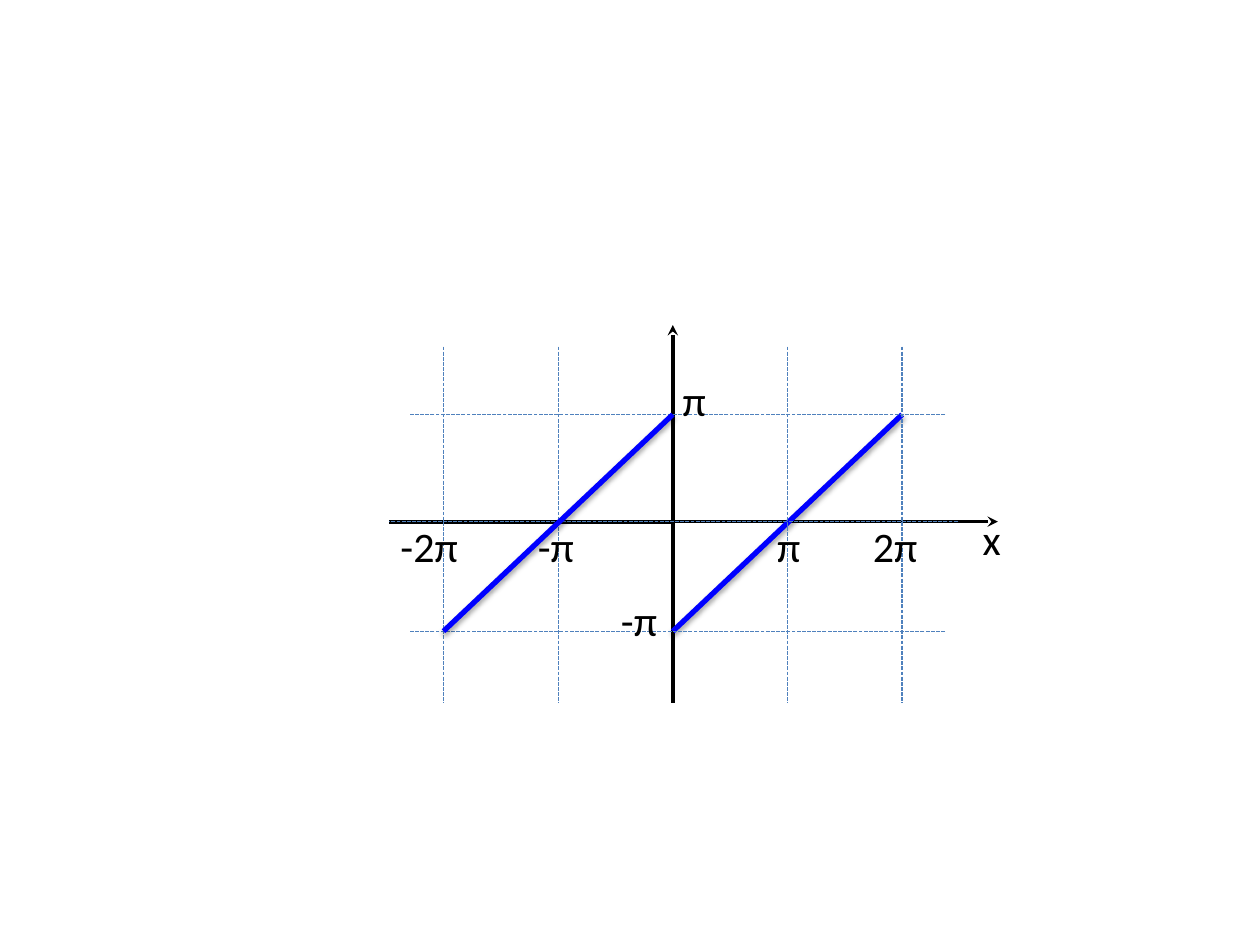
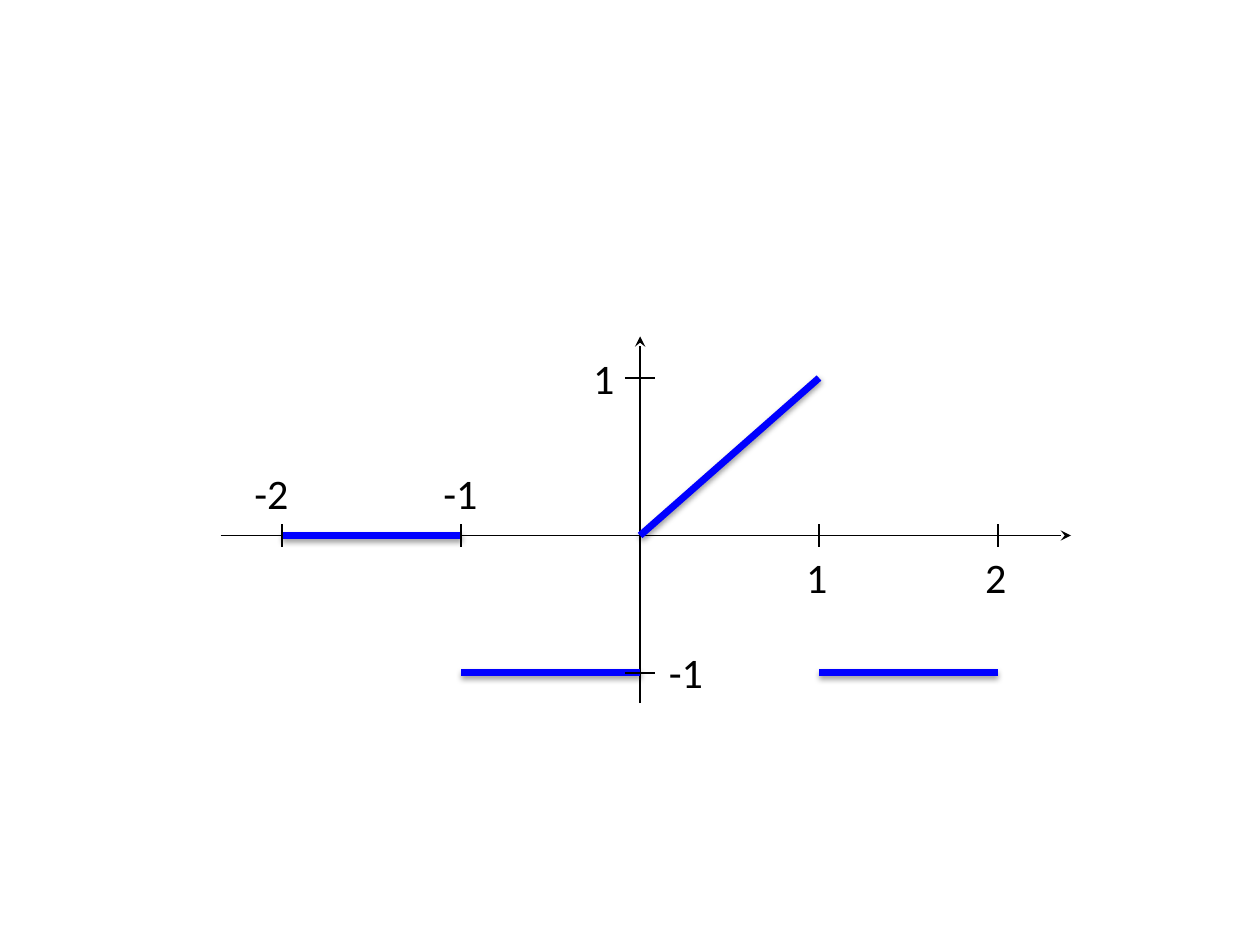
from lxml import etree
from pptx import Presentation
from pptx.dml.color import RGBColor
from pptx.enum.dml import MSO_LINE
from pptx.enum.shapes import MSO_CONNECTOR
from pptx.enum.text import MSO_AUTO_SIZE, MSO_VERTICAL_ANCHOR
from pptx.oxml.ns import qn
from pptx.util import Inches, Pt

STRAIGHT = MSO_CONNECTOR.STRAIGHT
DASH = MSO_LINE.SQUARE_DOT
FIT = MSO_AUTO_SIZE.SHAPE_TO_FIT_TEXT
TOP = MSO_VERTICAL_ANCHOR.TOP

BLACK, BLUE, GRID = "000000", "0000FF", "4F81BD"
FONT = {"name": "Calibri", "size": Pt(24)}
SHADE = {"blurRad": 40000, "dist": 20000, "dir": 5400000, "rotWithShape": 0}
ALPHA = 38000
LABEL_H = 0.5

# Sawtooth graph: steps of pi along x, and the height of each y level
SAW = {"x0": 5.34, "step": 0.91, "rows": {1: 3.29, 0: 4.14, -1: 5.01}}
SAW_AXES = [  # end x, end y, width, arrow
    (5.34, 2.58, 2, True),
    (7.92, 4.14, 2, True),
    (5.34, 5.58, 2.25, False),
    (3.09, 4.14, 2.25, False),
]
SAW_CURVES = [((2, 1), (0, -1)), ((0, 1), (-2, -1))]
SAW_COLS = [-1, -2, 2, 1]
SAW_SPANS = {0: (7.6, 3.09), 1: (7.5, 3.25), -1: (7.5, 3.25)}
SAW_ENDS = (2.75, 5.58)
SAW_LABELS = [  # text, left, top, width
    ("x", 7.7, 4.03, 0.37),
    ("π", 6.07, 4.08, 0.43),
    ("2π", 6.83, 4.08, 0.62),
    ("-π", 4.17, 4.08, 0.55),
    ("-2π", 3.08, 4.08, 0.73),
    ("π", 5.32, 2.92, 0.43),
    ("-π", 4.83, 4.67, 0.55),
]

# Piecewise graph
PIECE = {"x0": 5.08, "step": 1.42, "rows": {1: 3, 0: 4.25, -1: 5.34}}
PIECE_AXES = [((1.75, 4.25), (8.5, 4.25)), ((5.08, 5.58), (5.08, 2.67))]
PIECE_CURVES = [
    ((0, 0), (1, 1)),
    ((1, -1), (2, -1)),
    ((-1, -1), (0, -1)),
    ((-2, 0), (-1, 0)),
]
TICKS = [(-1, 0), (-2, 0), (1, 0), (2, 0), (0, 1), (0, -1)]
TICK_X, TICK_Y = 0.12, 0.09
PIECE_LABELS = [
    ("1", 4.61, 2.75, 0.39),
    ("1", 6.3, 4.33, 0.39),
    ("2", 7.72, 4.33, 0.39),
    ("-1", 5.21, 5.08, 0.5),
    ("-1", 3.42, 3.66, 0.5),
    ("-2", 1.92, 3.66, 0.5),
]


def rgb(code):
    return RGBColor.from_string(code)


def sub(parent, tag, **attrs):
    return etree.SubElement(parent, qn(tag), {k: str(v) for k, v in attrs.items()})


def spot(graph, point):
    """Turn graph units into inches on the slide."""
    x, y = point
    return graph["x0"] + x * graph["step"], graph["rows"][y]


def draw(slide, start, end, color=BLACK, width=1, arrow=False, dash=None, shade=False):
    link = slide.shapes.add_connector(STRAIGHT, *map(Inches, (*start, *end)))
    line = link.line
    line.color.rgb = rgb(color)
    line.width = Pt(width)
    if dash:
        line.dash_style = dash
    props = link._element.spPr
    if arrow:
        sub(props.find(qn("a:ln")), "a:tailEnd", type="stealth")
    effects = sub(props, "a:effectLst")
    if shade:
        tint = sub(sub(effects, "a:outerShdw", **SHADE), "a:srgbClr", val=BLACK)
        sub(tint, "a:alpha", val=ALPHA)


def curve(slide, graph, ends, width):
    start, end = (spot(graph, p) for p in ends)
    draw(slide, start, end, BLUE, width, shade=True)


def label(slide, text, left, top, width):
    box = slide.shapes.add_textbox(*map(Inches, (left, top, width, LABEL_H)))
    frame = box.text_frame
    for key, value in {"word_wrap": False, "auto_size": FIT, "vertical_anchor": TOP}.items():
        setattr(frame, key, value)
    run = frame.paragraphs[0].add_run()
    run.text = text
    for key, value in FONT.items():
        setattr(run.font, key, value)
    run.font.color.rgb = rgb(BLACK)


def draw_saw(slide):
    zero = spot(SAW, (0, 0))
    for x, y, width, arrow in SAW_AXES:
        draw(slide, zero, (x, y), width=width, arrow=arrow)
    curve(slide, SAW, SAW_CURVES[0], 3)
    grid = []
    for col in SAW_COLS:
        x, _ = spot(SAW, (col, 0))
        grid.append([(x, y) for y in SAW_ENDS])
    for row, span in SAW_SPANS.items():
        grid.append([(x, SAW["rows"][row]) for x in span])
    for start, end in grid:
        draw(slide, start, end, GRID, 0.75, dash=DASH)
    curve(slide, SAW, SAW_CURVES[1], 3)
    for item in SAW_LABELS:
        label(slide, *item)


def draw_piece(slide):
    for start, end in PIECE_AXES:
        draw(slide, start, end, arrow=True)
    for ends in PIECE_CURVES:
        curve(slide, PIECE, ends, 4)
    for tick in TICKS:
        x, y = spot(PIECE, tick)
        dx, dy = (TICK_X, 0) if tick[0] == 0 else (0, TICK_Y)
        draw(slide, (x - dx, y - dy), (x + dx, y + dy))
    for item in PIECE_LABELS:
        label(slide, *item)


def main():
    deck = Presentation()
    deck.slide_width, deck.slide_height = Inches(10), Inches(7.5)
    blank = deck.slide_layouts[6]
    for build in (draw_saw, draw_piece):
        build(deck.slides.add_slide(blank))
    deck.save("out.pptx")


if __name__ == "__main__":
    main()
